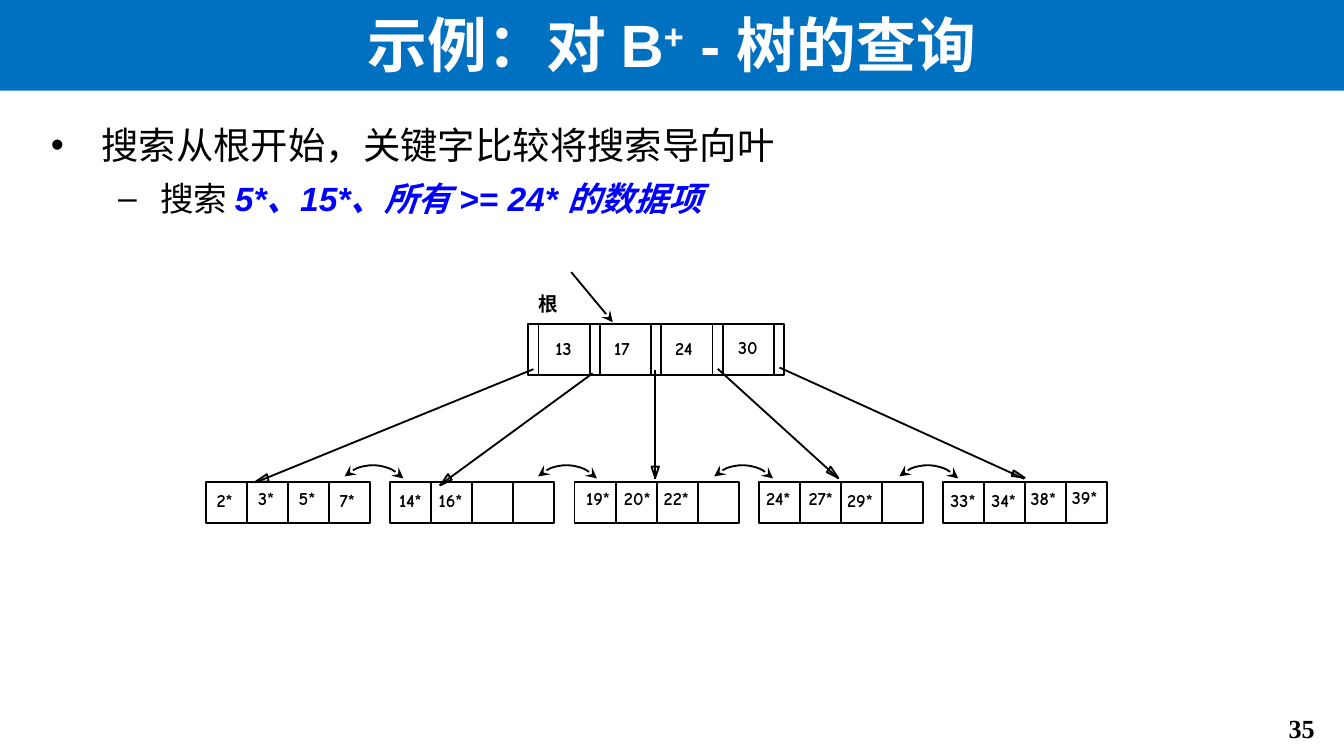
import math
from dataclasses import dataclass

import pptx
import pptx.dml.color
import pptx.enum.shapes
import pptx.enum.text
import pptx.oxml.ns
import pptx.util
from lxml import etree

Pt = pptx.util.Pt
ALIGN = pptx.enum.text.PP_ALIGN
ANCHOR = pptx.enum.text.MSO_ANCHOR
SHAPE = pptx.enum.shapes.MSO_SHAPE


@dataclass(frozen=True)
class Theme:
    paper: str = "FFFFFF"
    ink: str = "000000"
    banner: str = "0070C0"
    accent: str = "0000FF"
    font: str = "Arial"
    key_font: str = "Comic Neue"
    number_font: str = "Times New Roman"
    title_size: float = 32
    body_size: float = 20
    sub_size: float = 18
    number_size: float = 14
    root_size: float = 10.5
    key_size: float = 9.8
    line: float = 1


def rgb(value):
    return pptx.dml.color.RGBColor.from_string(value)


def sub(parent, tag, **attributes):
    return etree.SubElement(parent, pptx.oxml.ns.qn(tag), **attributes)


def write(paragraph, text, *, font, size, color, bold=False, italic=False, raised=False):
    run = paragraph.add_run()
    run.text = text
    run.font.name, run.font.size = font, Pt(size)
    run.font.bold, run.font.italic = bold, italic
    run.font.color.rgb = rgb(color)
    if raised:
        run.font._element.set("baseline", "30000")


class Board:
    def __init__(self, slide, theme):
        self.slide, self.theme = slide, theme
        slide.background.fill.solid()
        slide.background.fill.fore_color.rgb = rgb(theme.paper)

    def outline(self, shape, arrows=()):
        shape.line.color.rgb = rgb(self.theme.ink)
        shape.line.width = Pt(self.theme.line)
        for end in arrows:
            sub(shape.line._get_or_add_ln(), end, type="stealth")

    def banner(self, x, y, w, h):
        box = self.slide.shapes.add_shape(SHAPE.RECTANGLE, Pt(x), Pt(y), Pt(w), Pt(h))
        box.shadow.inherit = False
        box.fill.solid()
        box.fill.fore_color.rgb = rgb(self.theme.banner)
        box.line.fill.background()
        box.text_frame.vertical_anchor = ANCHOR.MIDDLE
        paragraph = box.text_frame.paragraphs[0]
        paragraph.alignment = ALIGN.CENTER
        return paragraph

    def cell(self, x, y, w, h):
        box = self.slide.shapes.add_shape(SHAPE.RECTANGLE, Pt(x), Pt(y), Pt(w), Pt(h))
        box.shadow.inherit = False
        box.fill.background()
        self.outline(box)

    def text(self, x, y, w, h, wrap=True, inset=None):
        frame = self.slide.shapes.add_textbox(Pt(x), Pt(y), Pt(w), Pt(h)).text_frame
        frame.word_wrap = wrap
        if inset:
            frame.margin_left = frame.margin_right = Pt(inset[0])
            frame.margin_top = frame.margin_bottom = Pt(inset[1])
        return frame

    def label(self, text, x, y, w, size):
        frame = self.text(x, y, w, 17.3, wrap=False, inset=(5, 2.9))
        write(frame.paragraphs[0], text, font=self.theme.key_font, size=size,
              color=self.theme.ink, bold=True)

    def bullet(self, paragraph, mark, left, hanging):
        properties = paragraph._p.get_or_add_pPr()
        properties.set("marL", str(Pt(left)))
        properties.set("indent", str(-Pt(hanging)))
        sub(properties, "a:buFont", typeface=self.theme.font)
        sub(properties, "a:buChar", char=mark)

    def line(self, x1, y1, x2, y2, arrows=()):
        line = self.slide.shapes.add_connector(
            pptx.enum.shapes.MSO_CONNECTOR.STRAIGHT, Pt(x1), Pt(y1), Pt(x2), Pt(y2))
        self.outline(line, arrows)
        sub(line._element.spPr, "a:effectLst")

    def pointer(self, x1, y1, x2, y2, length=7, half_width=1.8):
        """Line that ends in a hollow triangle."""
        self.line(x1, y1, x2, y2)
        angle = math.atan2(y2 - y1, x2 - x1)
        dx, dy = math.cos(angle), math.sin(angle)
        base_x, base_y = x2 - length * dx, y2 - length * dy
        corners = [(base_x - side * dy, base_y + side * dx)
                   for side in (half_width, -half_width)]
        builder = self.slide.shapes.build_freeform(x2, y2, scale=Pt(1))
        builder.add_line_segments(corners, close=True)
        head = builder.convert_to_shape()
        head.shadow.inherit = False
        head.fill.background()
        self.outline(head)

    def sibling_arc(self, center_x, center_y, radius):
        arc = self.slide.shapes.add_shape(
            SHAPE.ARC, Pt(center_x - radius), Pt(center_y - radius),
            Pt(2 * radius), Pt(2 * radius))
        arc.rotation = 317
        arc.shadow.inherit = False
        arc.fill.background()
        self.outline(arc, ("a:headEnd", "a:tailEnd"))


ROOT_X, ROOT_Y, ROOT_H, KEY_PITCH, SLOT = 283, 173.4, 27.5, 32.9, 5.5
LEAF_X, LEAF_Y, LEAF_PITCH, ENTRY = 110.3, 258.4, 98.75, 22
# Each key with the left and top of its label
ROOT_KEYS = [("13", 292.5, 178), ("17", 324, 178), ("24", 356.7, 178), ("30", 390.4, 177.3)]
LEAVES = [
    [("2*", 111, 259.4), ("3*", 133.3, 258.2), ("5*", 155, 258.2), ("7*", 177, 259.4)],
    [("14*", 208.8, 259.4), ("16*", 230, 259.4)],
    [("19*", 309, 258.4), ("20*", 329.3, 258.4), ("22*", 350.6, 258.4)],
    [("24*", 405.5, 258.4), ("27*", 428.2, 258.4), ("29*", 448.8, 259.2)],
    [("33*", 504.2, 259.4), ("34*", 526.1, 259.4), ("38*", 547.2, 258.2), ("39*", 569.2, 257.8)],
]
POINTERS = [
    (285.8, 197.8, 136.8, 258.5), (317.5, 200, 235.5, 260), (351, 198.5, 351, 256.5),
    (384.5, 197.6, 449.3, 256.5), (417.6, 196.9, 548.7, 256.5),
]


def main():
    theme = Theme()
    deck = pptx.Presentation()
    deck.slide_width, deck.slide_height = Pt(720), Pt(405)
    board = Board(deck.slides.add_slide(deck.slide_layouts[6]), theme)

    # Page number
    number = board.text(666, 378, 45.4, 24.5).paragraphs[0]
    number.alignment = ALIGN.RIGHT
    write(number, "35", font=theme.number_font, size=theme.number_size,
          color=theme.ink, bold=True)

    # Title
    title = board.banner(0, -1.6, 720, 50.2)
    for text, raised in (("示例：对 B", False), ("+", True), (" - 树的查询", False)):
        write(title, text, font=theme.font, size=theme.title_size,
              color=theme.paper, bold=True, raised=raised)

    # Search rules
    rules = board.text(20.2, 61.9, 674.6, 299.5)
    start = rules.paragraphs[0]
    board.bullet(start, "•", 27, 27)
    write(start, "搜索从根开始，关键字比较将搜索导向叶", font=theme.font,
          size=theme.body_size, color=theme.ink)
    queries = rules.add_paragraph()
    queries.level = 1
    queries.space_before = Pt(6)
    board.bullet(queries, "–", 58.5, 22.5)
    write(queries, "搜索 ", font=theme.font, size=theme.sub_size, color=theme.ink)
    write(queries, "5*、15*、所有 >= 24* 的数据项", font=theme.font,
          size=theme.sub_size, color=theme.accent, bold=True, italic=True)

    # Root node: a narrow pointer slot before each key, and one at the end
    for i in range(len(ROOT_KEYS)):
        x = ROOT_X + i * KEY_PITCH
        board.cell(x, ROOT_Y, KEY_PITCH, ROOT_H)
        board.line(x + SLOT, ROOT_Y, x + SLOT, ROOT_Y + ROOT_H)
    board.cell(ROOT_X + len(ROOT_KEYS) * KEY_PITCH, ROOT_Y, SLOT, ROOT_H)

    # Leaf nodes: four entries each
    for i in range(len(LEAVES)):
        for j in range(4):
            board.cell(LEAF_X + i * LEAF_PITCH + j * ENTRY, LEAF_Y, ENTRY, ENTRY)

    # Pointers from root to leaves
    for ends in POINTERS:
        board.pointer(*ends)

    # Keys
    board.label("根", 283.7, 153.4, 33.8, theme.root_size)
    for keys in [ROOT_KEYS, *LEAVES]:
        for text, x, y in keys:
            board.label(text, x, y, 28 if len(text) == 3 else 22.7, theme.key_size)

    # Links between neighbouring leaves
    for center_x in (199.8, 303.5, 397.8, 497):
        board.sibling_arc(center_x, 271.5, 22.3)

    # Entry to the root
    board.line(306, 145.8, 328.3, 172.6, ("a:tailEnd",))

    deck.save("out.pptx")


if __name__ == "__main__":
    main()
